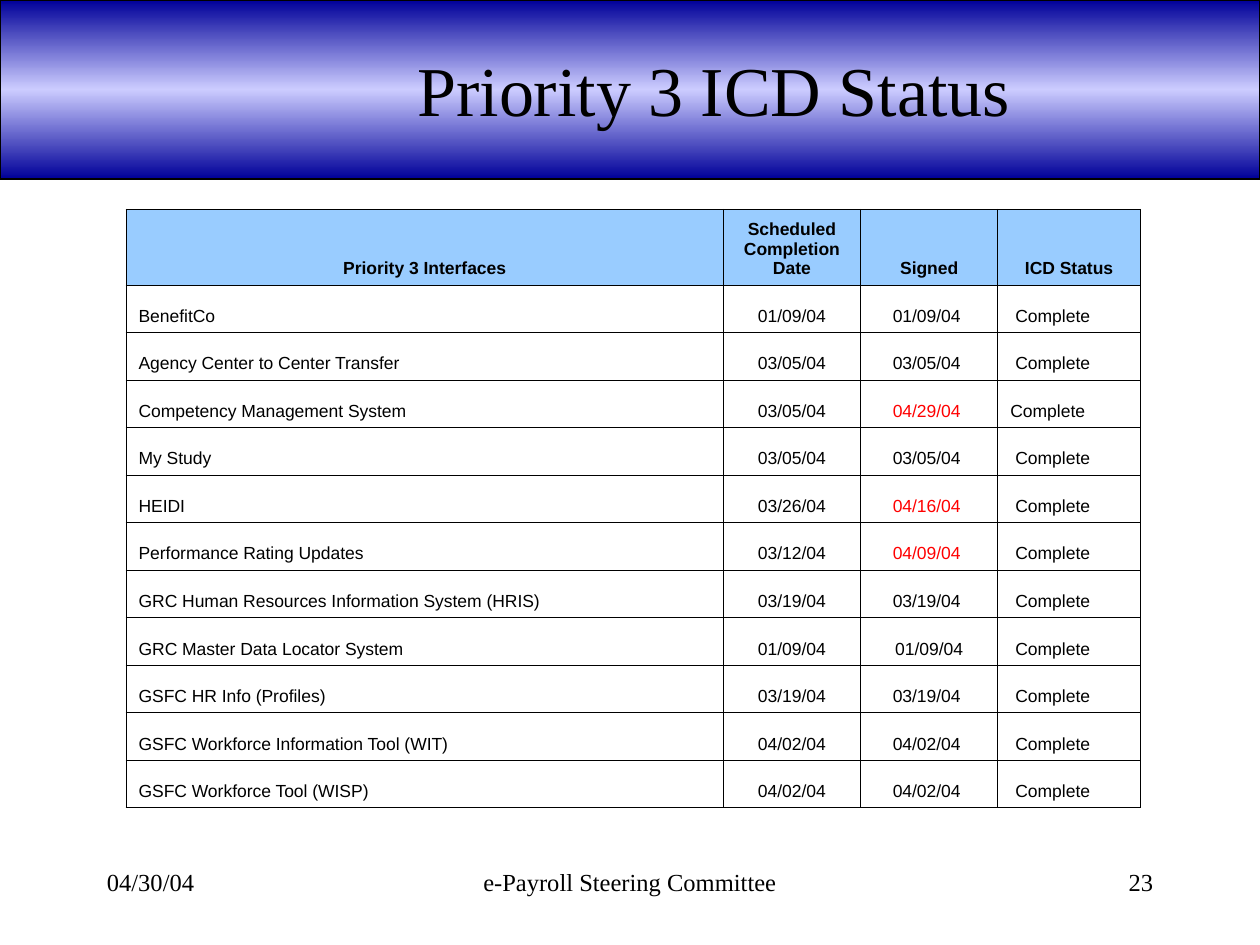
from copy import deepcopy

from lxml import etree
from pptx import Presentation
from pptx.dml.color import RGBColor
from pptx.enum.shapes import MSO_SHAPE
from pptx.enum.text import MSO_ANCHOR, PP_ALIGN
from pptx.oxml.ns import qn
from pptx.util import Inches, Pt

RECTANGLE = MSO_SHAPE.RECTANGLE
TOP, MIDDLE, BOTTOM = MSO_ANCHOR.TOP, MSO_ANCHOR.MIDDLE, MSO_ANCHOR.BOTTOM
LEFT, CENTER, RIGHT = PP_ALIGN.LEFT, PP_ALIGN.CENTER, PP_ALIGN.RIGHT

BLACK = RGBColor(0x00, 0x00, 0x00)
RED = RGBColor(0xFF, 0x00, 0x00)
NAVY = RGBColor(0x00, 0x00, 0x99)
LAVENDER = RGBColor(0xCC, 0xCC, 0xFF)
SKY = RGBColor(0x99, 0xCC, 0xFF)

SERIF = "Times New Roman"
SANS = "Arial"

HEADINGS = ["Priority 3 Interfaces", "Scheduled\nCompletion\nDate", "Signed", "ICD Status"]
INTERFACES = [
    ("BenefitCo", "01/09/04", "01/09/04"),
    ("Agency Center to Center Transfer", "03/05/04", "03/05/04"),
    ("Competency Management System", "03/05/04", "04/29/04"),
    ("My Study", "03/05/04", "03/05/04"),
    ("HEIDI", "03/26/04", "04/16/04"),
    ("Performance Rating Updates", "03/12/04", "04/09/04"),
    ("GRC Human Resources Information System (HRIS)", "03/19/04", "03/19/04"),
    ("GRC Master Data Locator System", "01/09/04", "01/09/04"),
    ("GSFC HR Info (Profiles)", "03/19/04", "03/19/04"),
    ("GSFC Workforce Information Tool (WIT)", "04/02/04", "04/02/04"),
    ("GSFC Workforce Tool (WISP)", "04/02/04", "04/02/04"),
]
COLUMN_WIDTHS = [4.74, 1.09, 1.09, 1.13]
COLUMN_ALIGNMENTS = [LEFT, CENTER, CENTER, LEFT]
SIGNED, STATUS = 2, 3
HEADER_HEIGHT = 0.6
FLUSH_CELLS = {(3, STATUS), (8, SIGNED)}


def format_text(text_frame, font_name, size, alignment, color=BLACK, bold=False):
    for paragraph in text_frame.paragraphs:
        paragraph.alignment = alignment
        for run in paragraph.runs:
            run.font.name = font_name
            run.font.size = Pt(size)
            run.font.bold = bold
            run.font.color.rgb = color


def add_label(slide, text, left, top, width, height, size, alignment, anchor=TOP):
    label = slide.shapes.add_textbox(Inches(left), Inches(top), Inches(width), Inches(height))
    label.text_frame.word_wrap = True
    label.text_frame.vertical_anchor = anchor
    label.text_frame.text = text
    format_text(label.text_frame, SERIF, size, alignment)


def add_banner(slide, left, top, width, height):
    banner = slide.shapes.add_shape(
        RECTANGLE, Inches(left), Inches(top), Inches(width), Inches(height)
    )
    banner.shadow.inherit = False
    banner.line.color.rgb = BLACK
    banner.line.width = Pt(1)
    banner.fill.gradient()
    banner.fill.gradient_angle = 90
    stop_list = banner.fill._xPr.find(qn("a:gradFill")).find(qn("a:gsLst"))
    stop_list.append(deepcopy(stop_list[0]))
    shades = [(0, NAVY), (0.5, LAVENDER), (1, NAVY)]
    for stop, (position, color) in zip(banner.fill.gradient_stops, shades):
        stop.position = position
        stop.color.rgb = color
    add_label(slide, "Priority 3 ICD Status", left + 2.75, top + 0.08, 5.83, 1.25,
              40, CENTER, MIDDLE)


def add_borders(cell):
    properties = cell._tc.get_or_add_tcPr()
    for side in ("a:lnL", "a:lnR", "a:lnT", "a:lnB"):
        border = etree.SubElement(properties, qn(side), w=str(Pt(0.45)))
        solid = etree.SubElement(border, qn("a:solidFill"))
        etree.SubElement(solid, qn("a:srgbClr"), val=str(BLACK))


def fill_cell(cell, text, alignment, color=BLACK, header=False):
    cell.text_frame.text = text
    format_text(cell.text_frame, SANS, 10, alignment, color, header)
    cell.vertical_anchor = BOTTOM
    add_borders(cell)
    if header:
        cell.fill.solid()
        cell.fill.fore_color.rgb = SKY
    else:
        cell.fill.background()


def add_status_table(slide, left, top, width, height):
    table = slide.shapes.add_table(
        len(INTERFACES) + 1, len(HEADINGS),
        Inches(left), Inches(top), Inches(width), Inches(height),
    ).table
    table.first_row = False
    table.horz_banding = False
    for column, column_width in zip(table.columns, COLUMN_WIDTHS):
        column.width = Inches(column_width)
    for row in table.rows:
        row.height = Inches((height - HEADER_HEIGHT) / len(INTERFACES))
    table.rows[0].height = Inches(HEADER_HEIGHT)

    for column_index, heading in enumerate(HEADINGS):
        fill_cell(table.cell(0, column_index), heading, CENTER, header=True)
    for row_index, (interface, scheduled, signed) in enumerate(INTERFACES, 1):
        values = (interface, scheduled, signed, "Complete")
        for column_index, value in enumerate(values):
            cell = table.cell(row_index, column_index)
            late = column_index == SIGNED and signed != scheduled
            fill_cell(cell, value, COLUMN_ALIGNMENTS[column_index], RED if late else BLACK)
            if (row_index, column_index) in FLUSH_CELLS:
                continue
            if column_index == SIGNED:
                cell.margin_right = Inches(0.14)
            elif column_index == STATUS:
                cell.margin_left = Inches(0.14)


def add_footer(slide, left, top, width, height):
    side_width, center_width = 2.08, 3.17
    add_label(slide, "04/30/04", left, top, side_width, height, 14, LEFT)
    add_label(slide, "e-Payroll Steering Committee", left + (width - center_width) / 2, top,
              center_width, height, 14, CENTER)
    add_label(slide, "23", left + width - side_width, top, side_width, height, 14, RIGHT)


def main():
    presentation = Presentation()
    presentation.slide_width = Inches(10)
    presentation.slide_height = Inches(7.5)
    slide = presentation.slides.add_slide(presentation.slide_layouts[6])
    add_banner(slide, 0, 0, 10, 1.42)
    add_status_table(slide, 1, 1.66, 8.05, 4.75)
    add_footer(slide, 0.75, 6.83, 8.5, 0.5)
    presentation.save("out.pptx")


if __name__ == "__main__":
    main()
